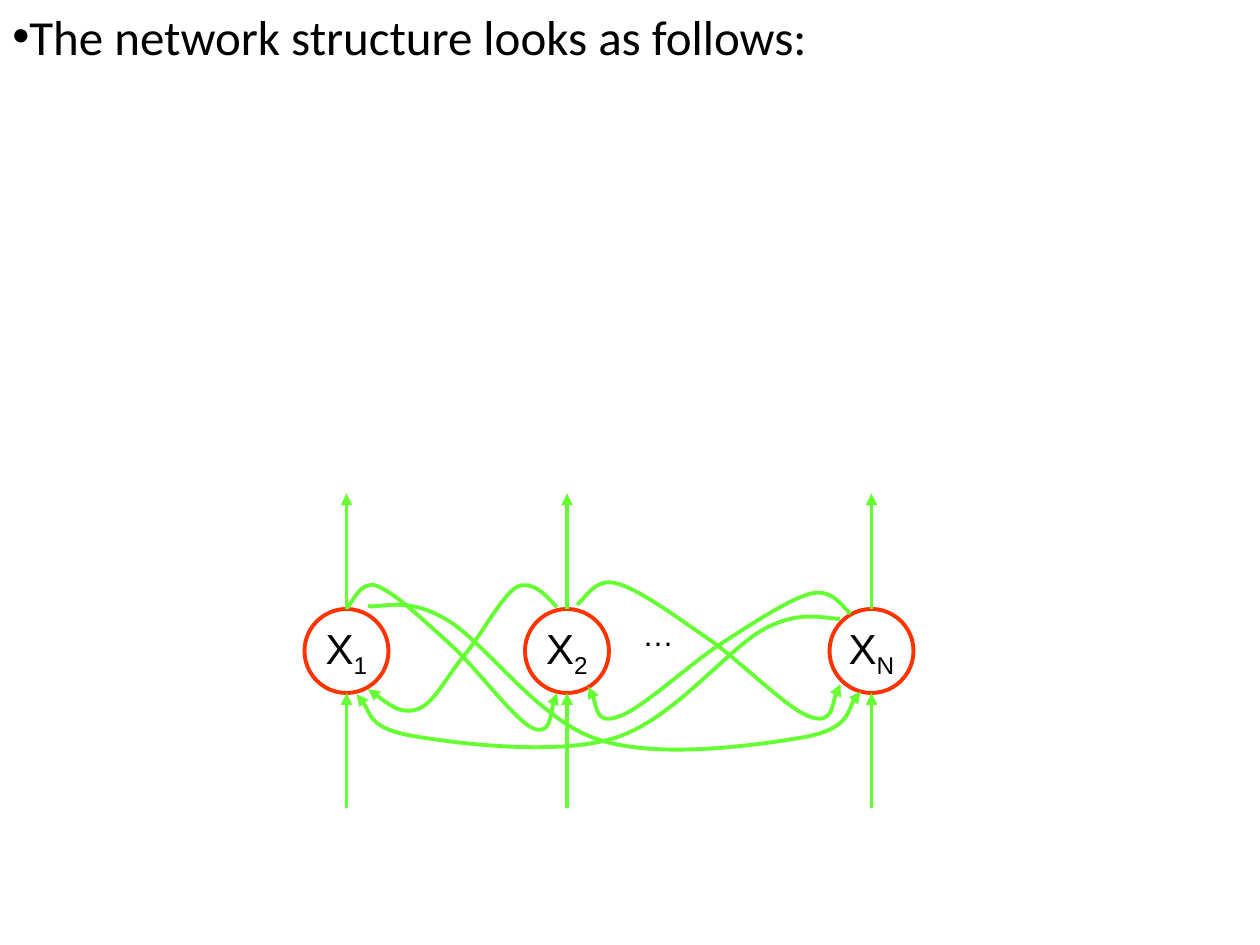
from pptx import Presentation
from pptx.dml.color import RGBColor
from pptx.enum.shapes import MSO_CONNECTOR, MSO_SHAPE
from pptx.enum.text import MSO_ANCHOR, PP_ALIGN
from pptx.oxml.ns import qn
from pptx.oxml.xmlchemy import OxmlElement
from pptx.util import Inches, Pt

STRAIGHT = MSO_CONNECTOR.STRAIGHT
ELLIPSE = MSO_SHAPE.OVAL
MIDDLE = MSO_ANCHOR.MIDDLE
LEFT, CENTER = PP_ALIGN.LEFT, PP_ALIGN.CENTER
RED, GREEN, BLACK = "FF3300", "66FF33", "000000"
CELL = Inches(10) // 120  # the slide is a grid of 120 columns and 90 rows


def add_text(box, text, size, font="Arial", align=LEFT, wrap=True, spaced=False, subscript=""):
    box.text_frame.word_wrap = wrap
    para = box.text_frame.paragraphs[0]
    para.alignment = align
    if spaced:
        para.space_before, para.space_after = Pt(size * 0.1), Pt(size * 0.3)
    for part in filter(None, (text, subscript)):
        span = para.add_run()
        span.text = part
        span.font.size = Pt(size)
        span.font.name = font
        span.font.color.rgb = RGBColor.from_string(BLACK)
    if subscript:
        span.font._element.set("baseline", "-25000")
    return para


def style_line(shape, color, arrow=False):
    """Set the outline, without shadow, and put an arrowhead at its end if asked."""
    shape.line.color.rgb = RGBColor.from_string(color)
    shape.line.width = Pt(2.25)
    properties = shape._element.spPr
    if arrow:
        head = OxmlElement("a:tailEnd")
        head.set("type", "triangle")
        properties.find(qn("a:ln")).append(head)
    properties.append(OxmlElement("a:effectLst"))


deck = Presentation()
deck.slide_width, deck.slide_height = 120 * CELL, 90 * CELL
page = deck.slides.add_slide(deck.slide_layouts[6])

# Statement with a bullet
box = page.shapes.add_textbox(0, 0, 120 * CELL, 34 * CELL)
para = add_text(box, "The network structure looks as follows:", 28, font="Calibri", spaced=True)
para_format = para._p.get_or_add_pPr()
for tag, key, value in (("a:buFont", "typeface", "Arial"), ("a:buChar", "char", "•")):
    bullet = OxmlElement(tag)
    bullet.set(key, value)
    para_format.append(bullet)

# Neurons, each with an input arrow below and an output arrow above
SIZE, TOP, ARROW = 8, 58, 11
BOTTOM = TOP + SIZE
for column, index in ((29, "1"), (50, "2"), (79, "N")):
    neuron = page.shapes.add_shape(ELLIPSE, column * CELL, TOP * CELL, SIZE * CELL, SIZE * CELL)
    neuron.fill.background()
    style_line(neuron, RED)
    neuron.text_frame.vertical_anchor = MIDDLE
    add_text(neuron, "X", 24, align=CENTER, wrap=False, subscript=index)
    middle = (column + SIZE // 2) * CELL
    for start, end in ((BOTTOM + ARROW, BOTTOM), (TOP, TOP - ARROW)):
        arrow = page.shapes.add_connector(STRAIGHT, middle, start * CELL, middle, end * CELL)
        style_line(arrow, GREEN, arrow=True)

box = page.shapes.add_textbox(60 * CELL, TOP * CELL, 10 * CELL, 7 * CELL)
add_text(box, "…", 18, spaced=True)

# Feedback curves in inches: a start point, then three Bézier points per segment
FEEDBACK = (
    # X1 to X2
    [(2.75, 4.83), (2.79, 4.8), (2.86, 4.6), (2.99, 4.65), (3.13, 4.7), (3.37, 4.93), (3.58, 5.12),
     (3.78, 5.3), (4.09, 5.72), (4.23, 5.78), (4.37, 5.84), (4.38, 5.56), (4.42, 5.5)],
    # X1 to XN
    [(2.92, 4.81), (3.02, 4.83), (3.22, 4.73), (3.53, 4.91), (3.84, 5.08), (4.27, 5.72), (4.75, 5.87),
     (5.23, 6.03), (6.04, 5.91), (6.39, 5.85), (6.74, 5.78), (6.74, 5.56), (6.83, 5.49)],
    # X2 to X1
    [(4.42, 4.82), (4.33, 4.72), (4.22, 4.6), (4.1, 4.66), (3.98, 4.73), (3.81, 5.06), (3.67, 5.22),
     (3.54, 5.38), (3.44, 5.59), (3.31, 5.63), (3.18, 5.67), (3.06, 5.57), (2.92, 5.47)],
    # X2 to XN
    [(4.58, 4.8), (4.63, 4.77), (4.72, 4.58), (4.89, 4.63), (5.06, 4.67), (5.36, 4.89), (5.62, 5.07),
     (5.87, 5.24), (6.25, 5.63), (6.43, 5.69), (6.61, 5.75), (6.62, 5.48), (6.67, 5.43)],
    # XN to X2
    [(6.75, 4.87), (6.7, 4.84), (6.62, 4.67), (6.44, 4.71), (6.27, 4.75), (5.97, 4.95), (5.72, 5.11),
     (5.46, 5.28), (5.08, 5.64), (4.9, 5.69), (4.73, 5.75), (4.72, 5.5), (4.67, 5.45)],
    # XN to X1
    [(6.67, 4.91), (6.57, 4.92), (6.37, 4.83), (6.07, 4.99), (5.77, 5.15), (5.34, 5.72), (4.87, 5.86),
     (4.41, 6), (3.61, 5.9), (3.27, 5.84), (2.93, 5.78), (2.92, 5.58), (2.83, 5.51)],
)
for points in FEEDBACK:
    start, *rest = [(Inches(x), Inches(y)) for x, y in points]
    builder = page.shapes.build_freeform(*start)
    builder.add_line_segments(rest, close=False)
    curve = builder.convert_to_shape()
    curve.fill.background()
    style_line(curve, GREEN, arrow=True)
    # Turn each three straight segments into one Bézier segment
    sides = list(curve._element.iter(qn("a:lnTo")))
    for first in range(0, len(sides), 3):
        bezier = OxmlElement("a:cubicBezTo")
        sides[first].addprevious(bezier)
        for side in sides[first:first + 3]:
            bezier.append(side[0])
            side.getparent().remove(side)

deck.save("out.pptx")
